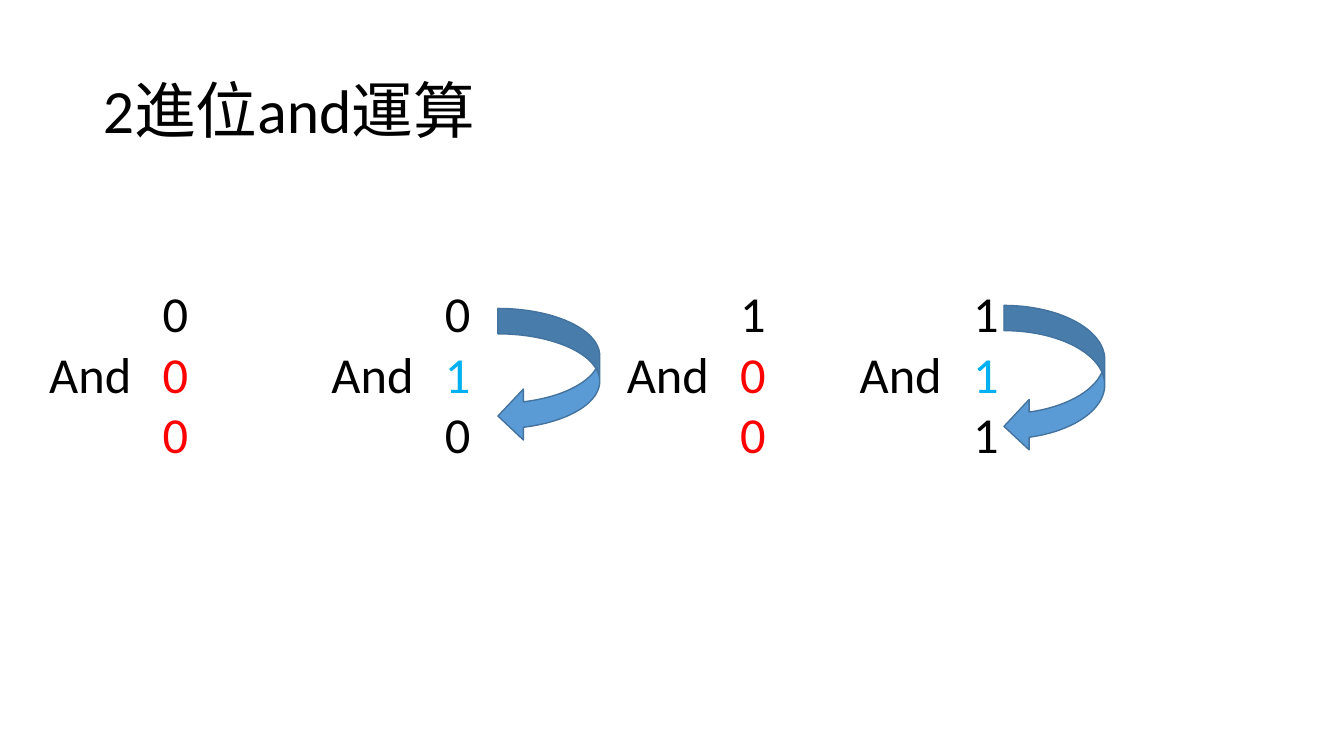
import dataclasses

import pptx
import pptx.dml.color
import pptx.enum.shapes
import pptx.enum.text
import pptx.oxml.ns
import pptx.util
from lxml import etree

RGBColor = pptx.dml.color.RGBColor
BLACK = RGBColor(0x00, 0x00, 0x00)
RED = RGBColor(0xFF, 0x00, 0x00)
CYAN = RGBColor(0x00, 0xB0, 0xF0)
ARROW_FILL = RGBColor(0x5B, 0x9B, 0xD5)
ARROW_LINE = RGBColor(0x43, 0x73, 0x9E)

FONT = "Calibri"
COLS, ROWS = 160, 90
DIGIT_TAB = 13.5

prs = pptx.Presentation()
prs.slide_width = pptx.util.Inches(13.33)
prs.slide_height = pptx.util.Inches(7.5)


@dataclasses.dataclass(frozen=True)
class Area:
    col: float
    row: float
    cols: float
    rows: float

    def emu(self) -> tuple[int, int, int, int]:
        return across(self.col), down(self.row), across(self.cols), down(self.rows)


@dataclasses.dataclass(frozen=True)
class Operation:
    col: float
    first: str
    second: str
    result: str
    mask_color: RGBColor
    result_color: RGBColor


OPERATIONS = [
    Operation(4.68, "0", "0", "0", RED, RED),
    Operation(38.28, "0", "1", "0", CYAN, BLACK),
    Operation(73.44, "1", "0", "0", RED, RED),
    Operation(101.16, "1", "1", "1", CYAN, BLACK),
]
ARROWS = [Area(59.28, 36.72, 12.12, 15.84), Area(119.52, 36.36, 12, 17.4)]


def across(cols: float) -> int:
    return round(prs.slide_width * cols / COLS)


def down(rows: float) -> int:
    return round(prs.slide_height * rows / ROWS)


def add_text(p, text: str, *, size: float = 36, color: RGBColor = BLACK) -> None:
    r = p.add_run()
    r.text = text
    r.font.name = FONT
    r.font.size = pptx.util.Pt(size)
    r.font.color.rgb = color


def add_tab(p, cols: float) -> None:
    qn = pptx.oxml.ns.qn
    tabs = etree.SubElement(p._p.get_or_add_pPr(), qn("a:tabLst"))
    etree.SubElement(tabs, qn("a:tab"), pos=str(across(cols)), algn="l")


def add_title(s, text: str, area: Area) -> None:
    sp = s.shapes.title
    sp.left, sp.top, sp.width, sp.height = area.emu()
    tf = sp.text_frame
    tf.auto_size = pptx.enum.text.MSO_AUTO_SIZE.NONE
    tf.vertical_anchor = pptx.enum.text.MSO_ANCHOR.MIDDLE
    p = tf.paragraphs[0]
    p.alignment = pptx.enum.text.PP_ALIGN.LEFT
    p.line_spacing = 0.9
    add_text(p, text, size=44)


def add_operation(s, op: Operation) -> None:
    tf = s.shapes.add_textbox(*Area(op.col, 33, 27.72, 30.24).emu()).text_frame
    tf.word_wrap = True
    tf.auto_size = pptx.enum.text.MSO_AUTO_SIZE.SHAPE_TO_FIT_TEXT
    lines = [
        ("", op.first, BLACK),
        ("And", op.second, op.mask_color),
        ("", op.result, op.result_color),
    ]
    for i, (label, digit, color) in enumerate(lines):
        p = tf.add_paragraph() if i else tf.paragraphs[0]
        add_tab(p, DIGIT_TAB)
        add_text(p, label + "\t")
        add_text(p, digit, color=color)


def add_arrow(s, area: Area) -> None:
    kind = pptx.enum.shapes.MSO_SHAPE.CURVED_LEFT_ARROW
    sp = s.shapes.add_shape(kind, *area.emu())
    sp.shadow.inherit = False
    sp.fill.solid()
    sp.fill.fore_color.rgb = ARROW_FILL
    sp.line.color.rgb = ARROW_LINE
    sp.line.width = pptx.util.Pt(1)


def main() -> None:
    s = prs.slides.add_slide(prs.slide_layouts.get_by_name("Title Only"))
    add_title(s, "2進位and運算", Area(11.04, 4.8, 138, 17.4))
    for op in OPERATIONS:
        add_operation(s, op)
    for area in ARROWS:
        add_arrow(s, area)
    prs.save("out.pptx")


if __name__ == "__main__":
    main()
